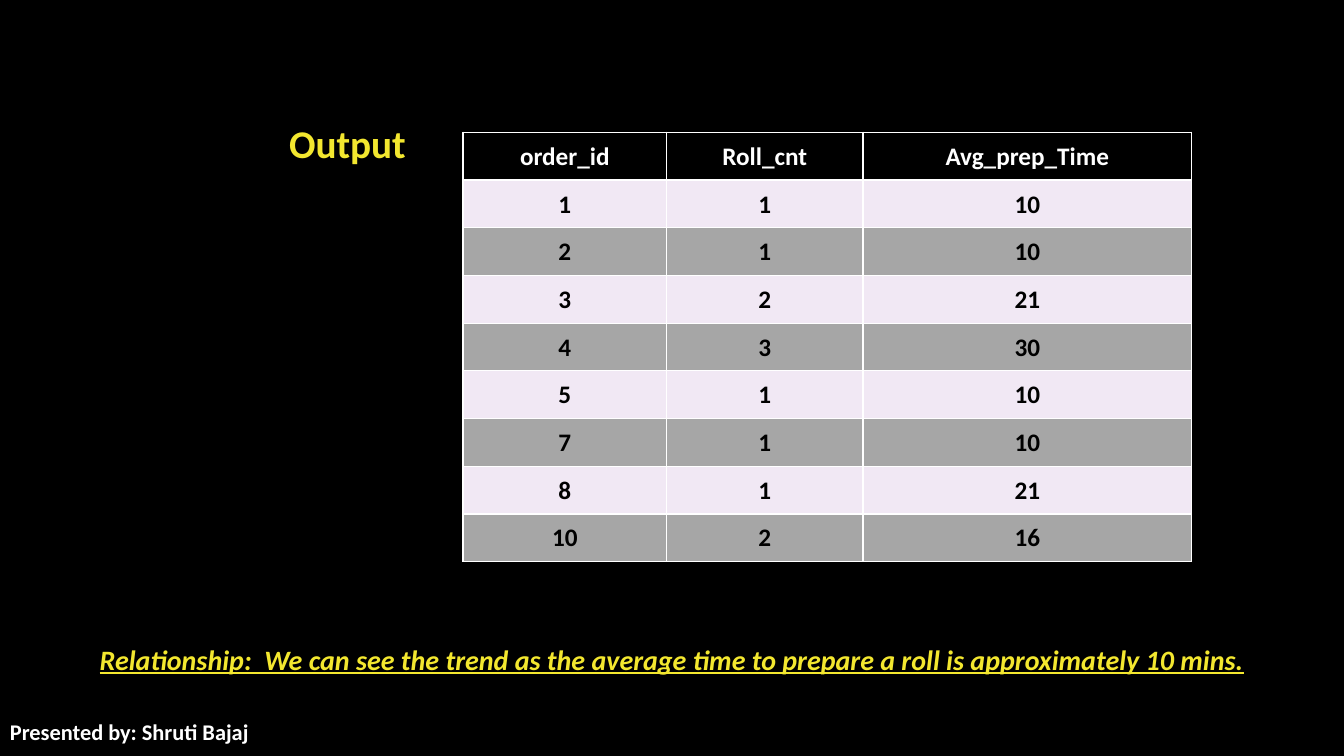
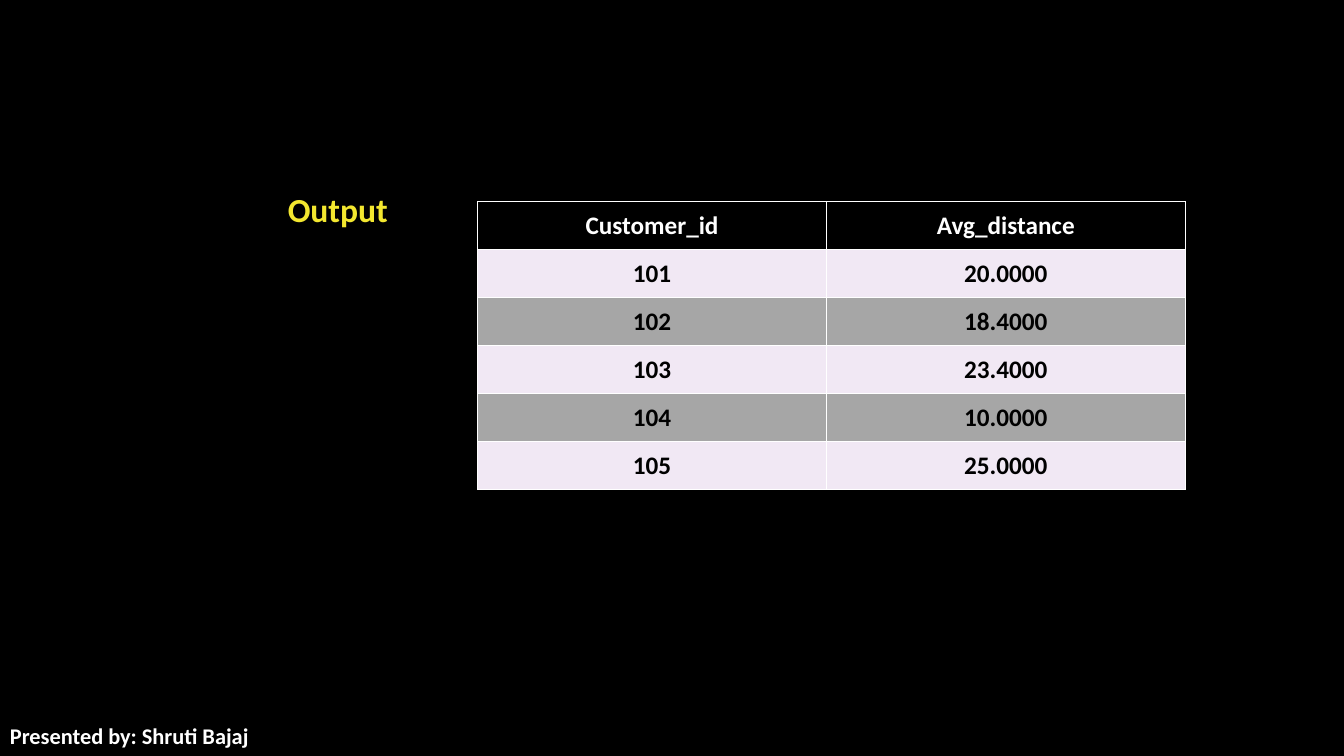
from pptx import Presentation
from pptx.dml.color import RGBColor
from pptx.enum.text import MSO_ANCHOR as Anchor, PP_ALIGN as Align
from pptx.oxml import parse_xml
from pptx.oxml.ns import nsdecls
from pptx.util import Pt

EMU_PER_PX = 9525
SLIDE_WIDTH, SLIDE_HEIGHT = 1280, 720
FONT = "Calibri"
BLACK, WHITE, YELLOW = "000000", "FFFFFF", "F3E72F"
BANDS = ("F1E8F4", "A6A6A6")
TITLE_ONLY = 5

ORDERS = [
    ("order_id", "Roll_cnt", "Avg_prep_Time"),
    ("1", "1", "10"),
    ("2", "1", "10"),
    ("3", "2", "21"),
    ("4", "3", "30"),
    ("5", "1", "10"),
    ("7", "1", "10"),
    ("8", "1", "21"),
    ("10", "2", "16"),
]
DISTANCES = [
    ("Customer_id", "Avg_distance"),
    ("101", "20.0000"),
    ("102", "18.4000"),
    ("103", "23.4000"),
    ("104", "10.0000"),
    ("105", "25.0000"),
]


def px(length):
    return round(length * EMU_PER_PX)


def paint(fill, color):
    fill.solid()
    fill.fore_color.rgb = RGBColor.from_string(color)


def write(frame, text, size, color, align, emphasis=False):
    """Put one bold run in the frame; emphasis adds italics and underline."""
    para = frame.paragraphs[0]
    para.alignment = align
    span = para.add_run()
    span.text = text
    font = span.font
    font.name, font.size, font.bold = FONT, Pt(size), True
    font.color.rgb = RGBColor.from_string(color)
    if emphasis:
        font.italic = font.underline = True


def add_page(deck, title, left, top, width, height, size):
    page = deck.slides.add_slide(deck.slide_layouts[TITLE_ONLY])
    box = page.shapes.title
    box.left, box.top, box.width, box.height = map(px, (left, top, width, height))
    box.text_frame.vertical_anchor = Anchor.MIDDLE
    write(box.text_frame, title, size, YELLOW, Align.RIGHT)
    return page


def add_text(page, text, left, top, width, height, size, color, align,
             anchor=Anchor.TOP, emphasis=False):
    box = page.shapes.add_textbox(*map(px, (left, top, width, height)))
    box.text_frame.word_wrap = True
    box.text_frame.vertical_anchor = anchor
    write(box.text_frame, text, size, color, align, emphasis)


def add_footer(page, height):
    add_text(page, "Presented by: Shruti Bajaj", 0, SLIDE_HEIGHT - height, 822, height,
             16, WHITE, Align.LEFT, Anchor.MIDDLE)


def add_borders(cell):
    properties = cell._tc.get_or_add_tcPr()
    for side in "LRTB":
        properties.append(parse_xml(
            f'<a:ln{side} {nsdecls("a")} w="{Pt(1)}"><a:solidFill>'
            f'<a:srgbClr val="{WHITE}"/></a:solidFill></a:ln{side}>'))


def style_cell(cell, text, color, fill):
    cell.margin_left = cell.margin_right = cell.margin_top = px(1)
    cell.margin_bottom = 0
    cell.vertical_anchor = Anchor.MIDDLE
    add_borders(cell)
    paint(cell.fill, fill)
    write(cell.text_frame, text, 18, color, Align.CENTER)


def add_result_table(page, rows, left, top, widths, height):
    frame = page.shapes.add_table(len(rows), len(widths), px(left), px(top),
                                  px(sum(widths)), px(height))
    table = frame.table
    for column, width in zip(table.columns, widths):
        column.width = px(width)
    for r, values in enumerate(rows):
        # Header is white on black; body rows alternate
        color, fill = (BLACK, BANDS[(r - 1) % 2]) if r else (WHITE, BLACK)
        for c, value in enumerate(values):
            style_cell(table.cell(r, c), value, color, fill)


def main():
    deck = Presentation()
    deck.slide_width, deck.slide_height = px(SLIDE_WIDTH), px(SLIDE_HEIGHT)
    paint(deck.slide_master.background.fill, BLACK)

    # Preparation time per order
    page = add_page(deck, "Output", 154, 93, 242, 86, 28)
    add_result_table(page, ORDERS, 441, 126, (194, 187, 313), 409)
    add_text(page, "Relationship:  We can see the trend as the average time to prepare "
             "a roll is approximately 10 mins.", 0, 607, SLIDE_WIDTH, 42,
             20, YELLOW, Align.CENTER, emphasis=True)
    add_footer(page, 47)

    # Average distance per customer
    page = add_page(deck, "Output", 151, 156, 228, 86, 24)
    add_result_table(page, DISTANCES, 455, 192, (332, 342), 274)
    add_footer(page, 39)

    deck.save("out.pptx")


if __name__ == "__main__":
    main()
